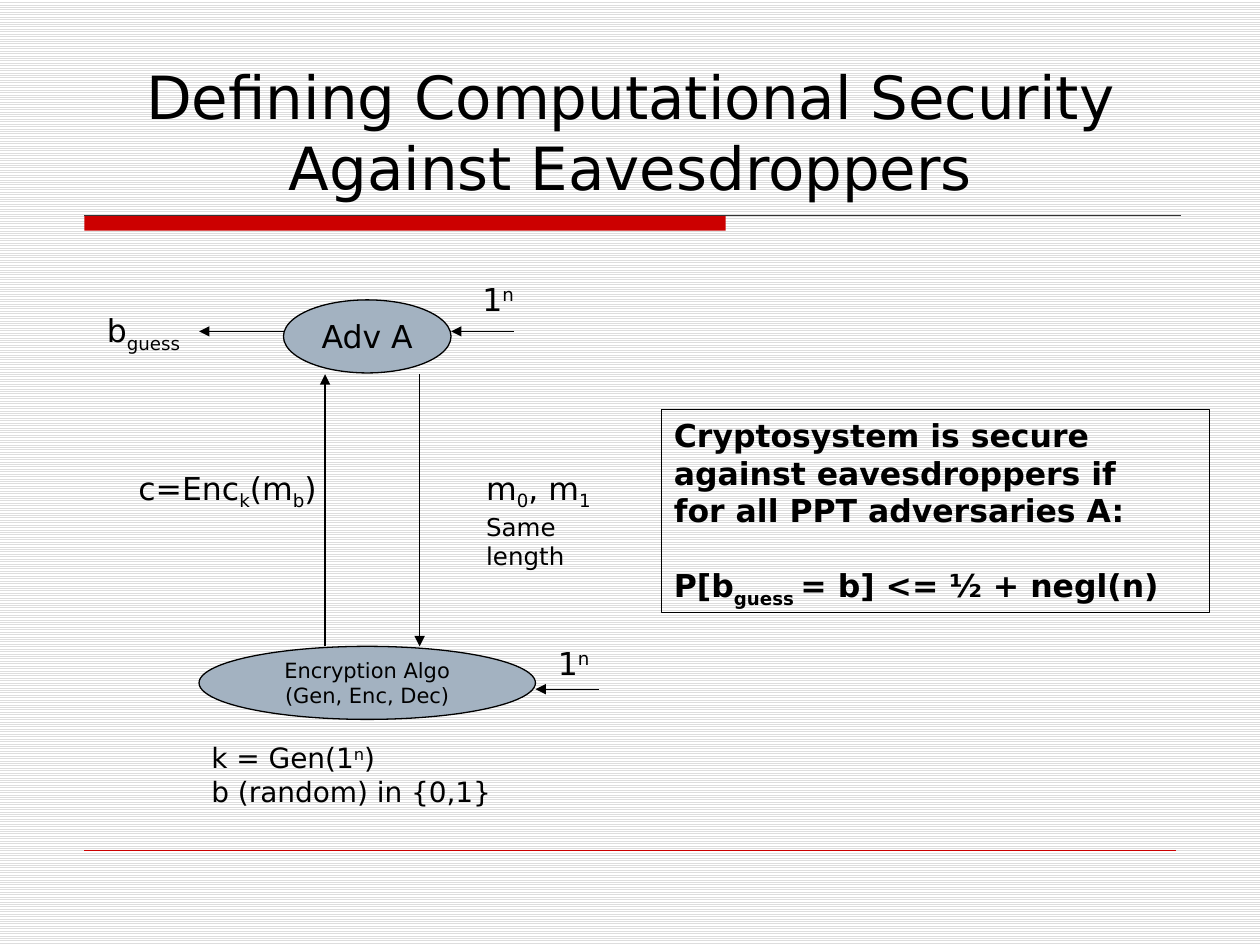
from dataclasses import dataclass

from lxml import etree
from pptx import Presentation
from pptx.dml.color import RGBColor
from pptx.enum.dml import MSO_PATTERN
from pptx.enum.shapes import MSO_CONNECTOR, MSO_SHAPE
from pptx.enum.text import MSO_ANCHOR, MSO_AUTO_SIZE, PP_ALIGN
from pptx.oxml.ns import qn
from pptx.util import Inches, Pt

FONT = "DejaVu Sans"
COLORS = {"ink": "000000", "red": "CC0000", "oval": "A3B2C1", "rule": "333333",
          "stripe": "DDDDDD", "paper": "FFFFFF"}
SUB, SUP = -25, 30


@dataclass
class Para:
    runs: list[tuple[str, int]]  # text and baseline shift in percent
    size: float = 18
    before: float = 0


@dataclass
class Label:
    box: tuple[float, float, float, float]
    paras: list[Para]
    bold: bool = False
    framed: bool = False


@dataclass
class Oval:
    box: tuple[float, float, float, float]
    paras: list[Para]


@dataclass
class Line:
    start: tuple[float, float]
    end: tuple[float, float]
    color: str = "ink"
    width: float = 0.75
    arrow: bool = True


def rgb(name: str) -> RGBColor:
    return RGBColor.from_string(COLORS[name])


def write(tf, paras: list[Para], align=PP_ALIGN.LEFT, bold: bool = False) -> None:
    for i, para in enumerate(paras):
        p = tf.add_paragraph() if i else tf.paragraphs[0]
        p.alignment = align
        p.space_before = Pt(para.before)
        for text, shift in para.runs:
            r = p.add_run()
            r.text = text
            r.font.name, r.font.size, r.font.bold = FONT, Pt(para.size), bold
            r.font.color.rgb = rgb("ink")
            if shift:
                r.font._element.set("baseline", str(shift * 1000))


def add_label(s, label: Label) -> None:
    sp = s.shapes.add_textbox(*map(Inches, label.box))
    if label.framed:
        sp.line.color.rgb = rgb("ink")
        sp.line.width = Pt(0.75)
    tf = sp.text_frame
    tf.word_wrap = False
    tf.auto_size = MSO_AUTO_SIZE.SHAPE_TO_FIT_TEXT
    write(tf, label.paras, bold=label.bold)


def add_oval(s, oval: Oval) -> None:
    sp = s.shapes.add_shape(MSO_SHAPE.OVAL, *map(Inches, oval.box))
    sp.shadow.inherit = False
    sp.fill.solid()
    sp.fill.fore_color.rgb = rgb("oval")
    sp.line.color.rgb = rgb("ink")
    sp.line.width = Pt(0.75)
    tf = sp.text_frame
    tf.word_wrap = False
    tf.vertical_anchor = MSO_ANCHOR.MIDDLE
    write(tf, oval.paras, PP_ALIGN.CENTER)


def add_line(s, line: Line) -> None:
    c = s.shapes.add_connector(MSO_CONNECTOR.STRAIGHT,
                               *map(Inches, line.start + line.end))
    c.line.color.rgb = rgb(line.color)
    c.line.width = Pt(line.width)
    if line.arrow:
        etree.SubElement(c.line._get_or_add_ln(), qn("a:tailEnd"), type="triangle")
    etree.SubElement(c._element.spPr, qn("a:effectLst"))


prs = Presentation()
prs.slide_width, prs.slide_height = Inches(10), Inches(7.5)
s = prs.slides.add_slide(prs.slide_layouts[5])

# Striped background
fill = s.background.fill
fill.patterned()
fill.pattern = MSO_PATTERN.LIGHT_HORIZONTAL
fill.fore_color.rgb = rgb("stripe")
fill.back_color.rgb = rgb("paper")

# Title
title = s.shapes.title
title.left, title.top, title.width, title.height = map(Inches, (0.63, 0.33, 8.75, 1.33))
tf = title.text_frame
tf.word_wrap = True
tf.auto_size = MSO_AUTO_SIZE.NONE
tf.vertical_anchor = MSO_ANCHOR.BOTTOM
write(tf, [Para([("Defining Computational Security Against Eavesdroppers", 0)], 34)],
      PP_ALIGN.CENTER)

# Red bar and rules
bar = s.shapes.add_shape(MSO_SHAPE.RECTANGLE, *map(Inches, (0.67, 1.71, 5.09, 0.12)))
bar.shadow.inherit = False
bar.fill.solid()
bar.fill.fore_color.rgb = rgb("red")
bar.line.fill.background()
add_line(s, Line((0.67, 1.71), (9.37, 1.71), "rule", arrow=False))
add_line(s, Line((0.67, 6.75), (9.33, 6.75), "red", 0.25, arrow=False))

# Adversary and encryption algorithm
OVALS = [
    Oval((2.25, 2.38, 1.33, 0.58), [Para([("Adv A", 0)])]),
    Oval((1.58, 5.13, 2.67, 0.58), [Para([("Encryption Algo", 0)], 12),
                                    Para([("(Gen, Enc, Dec)", 0)], 12)]),
]
for oval in OVALS:
    add_oval(s, oval)

# Messages exchanged, inputs and output
ARROWS = [
    Line((3.33, 2.97), (3.33, 5.13)),
    Line((2.58, 5.13), (2.58, 2.97)),
    Line((4.08, 2.63), (3.58, 2.63)),
    Line((4.75, 5.47), (4.25, 5.47)),
    Line((2.25, 2.63), (1.58, 2.63)),
]
for arrow in ARROWS:
    add_line(s, arrow)

# Labels and the security definition
SECURITY_PARAM = [Para([("1", 0), ("n", SUP)])]
LABELS = [
    Label((3.76, 3.67, 1.08, 0.87), [
        Para([("m", 0), ("0", SUB), (", m", 0), ("1", SUB)]),
        Para([("Same", 0)], 14),
        Para([("length", 0)], 14)]),
    Label((3.73, 2.17, 0.47, 0.4), SECURITY_PARAM),
    Label((4.33, 5.06, 0.47, 0.4), SECURITY_PARAM),
    Label((1.58, 5.83, 2.56, 0.64), [
        Para([("k = Gen(1", 0), ("n", SUP), (")", 0)], 16),
        Para([("b (random) in {0,1} ", 0)], 16)]),
    Label((1, 3.67, 1.74, 0.4), [
        Para([("c=Enc", 0), ("k", SUB), ("(m", 0), ("b", SUB), (") ", 0)])]),
    Label((0.75, 2.42, 0.84, 0.4), [Para([("b", 0), ("guess", SUB)])]),
    Label((5.25, 3.25, 4.35, 1.61), [
        Para([("Cryptosystem is secure ", 0)]),
        Para([("against eavesdroppers if ", 0)]),
        Para([("for all PPT adversaries A: ", 0)]),
        Para([("P[b", 0), ("guess ", SUB), ("= b] <= ½ + negl(n) ", 0)], before=21)],
        bold=True, framed=True),
]
for label in LABELS:
    add_label(s, label)

prs.save("out.pptx")
